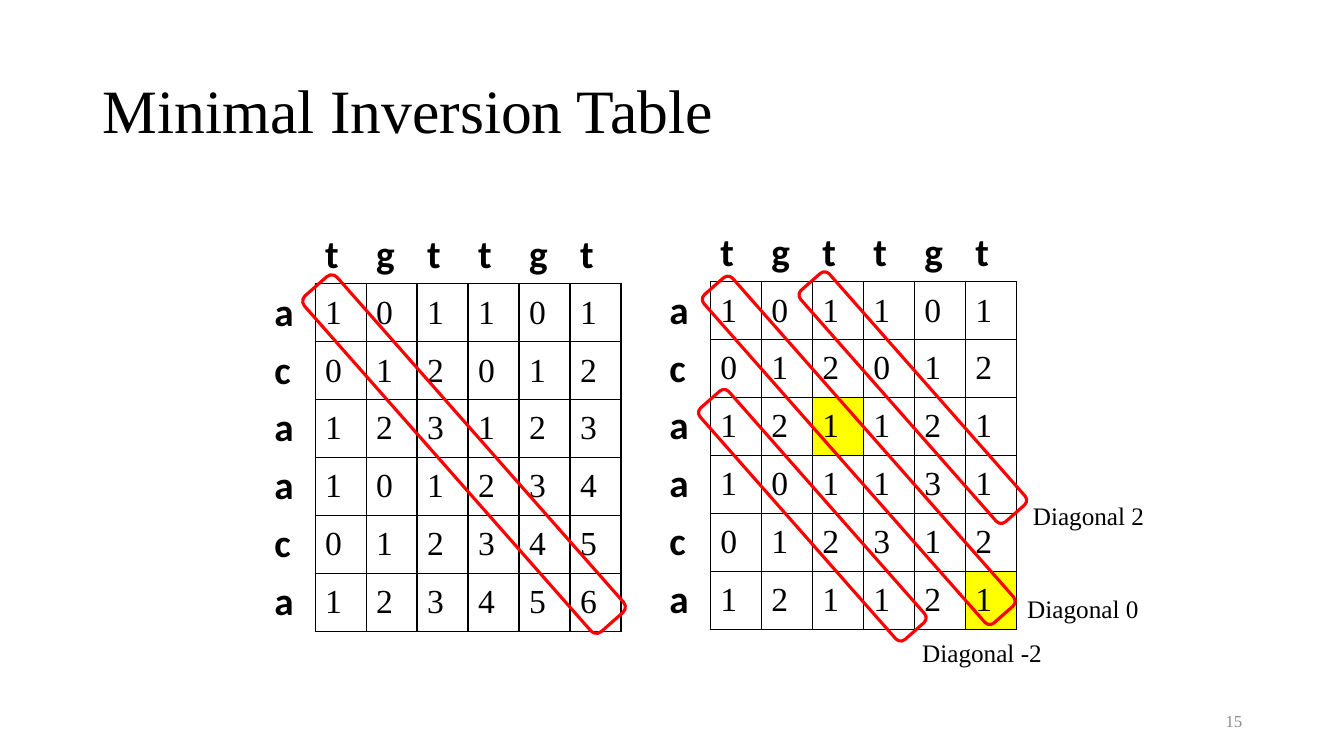
from math import hypot
from lxml.etree import SubElement as Sub
from pptx import Presentation
from pptx.dml.color import RGBColor as RGB
from pptx.enum.shapes import MSO_SHAPE as Kind
from pptx.enum.text import MSO_ANCHOR as Anchor, PP_ALIGN as Align
from pptx.oxml.ns import qn
from pptx.util import Inches as In, Pt

BLACK, WHITE = RGB(0, 0, 0), RGB(255, 255, 255)
RED, YELLOW, GREY = RGB(255, 0, 0), RGB(255, 255, 0), RGB(0x8C, 0x8C, 0x8C)
SERIF, SANS = "Times New Roman", "Calibri"

# Content
TITLE, PAGE = "Minimal Inversion Table", "15"
TOP, SIDE = "tgttgt", "acaaca"
LEFT = ["101101", "012012", "123123", "101234", "012345", "123456"]
RIGHT = ["101101", "012012", "121121", "101131", "012312", "121121"]
MARKS = {(3, 3), (6, 6)}  # row, column of the yellow cells

# Grid: cell size and table corners in inches
WIDE, HIGH = 3.54 / 7, 0.575
STEP, TILT = hypot(WIDE, HIGH), 48.6
AT_L, AT_R = (2.62, 2.24), (6.54, 2.22)

# Corner, centre column and row, length in cells, thickness in rows
BANDS = [
    (AT_L, 3.92, 3.94, 5.8, 0.75),
    (AT_R, 3.91, 3.91, 5.67, 0.66),
    (AT_R, 4.97, 3, 4, 0.66),
    (AT_R, 3, 5.03, 4, 0.66),
]
# Words, column and row in the right table
LABELS = [
    ("Diagonal -2", 4.96, 7.11),
    ("Diagonal 0", 7.02, 6.35),
    ("Diagonal 2", 7.13, 4.75),
]


def write(frame, text, size=18, font=SERIF, color=BLACK, bold=False,
          align=Align.LEFT, anchor=Anchor.TOP, lines=None):
    frame.word_wrap = True
    frame.vertical_anchor = anchor
    par = frame.paragraphs[0]
    par.alignment = align
    if lines:
        par.line_spacing = lines
    run = par.add_run()
    run.text = text
    run.font.size, run.font.name, run.font.bold = Pt(size), font, bold
    run.font.color.rgb = color


def place(slide, text, x, y, w, h, **form):
    box = slide.shapes.add_textbox(In(x), In(y), In(w), In(h))
    write(box.text_frame, text, **form)


def edge(cell, sides):
    props = cell._tc.get_or_add_tcPr()
    for side in "LRTB":
        line = Sub(props, qn("a:ln" + side), w=str(Pt(1)))
        if side in sides:
            fill = Sub(line, qn("a:solidFill"))
            Sub(fill, qn("a:srgbClr"), val=str(BLACK))
        else:
            Sub(line, qn("a:noFill"))


def table(slide, corner, rows, marks=()):
    x, y = corner
    count = len(TOP) + 1
    frame = slide.shapes.add_table(count, count, In(x), In(y),
                                   In(WIDE * count), In(HIGH * count))
    grid = frame.table
    grid.first_row = grid.horz_banding = False
    for col in grid.columns:
        col.width = In(WIDE)
    for row in grid.rows:
        row.height = In(HIGH)
    cells = [" " + TOP] + [a + b for a, b in zip(SIDE, rows)]
    for r, row in enumerate(cells):
        for c, text in enumerate(row):
            cell = grid.cell(r, c)
            head = r == 0 or c == 0
            if head:
                edge(cell, "B" if c else "R" if r else "")
                cell.fill.background()
            else:
                edge(cell, "LRTB")
                cell.fill.solid()
                cell.fill.fore_color.rgb = YELLOW if (r, c) in marks else WHITE
            if r or c:
                write(cell.text_frame, text, size=28 if head else 24,
                      font=SANS if head else SERIF, bold=head,
                      align=Align.JUSTIFY)
                cell.vertical_anchor = Anchor.MIDDLE if r else Anchor.TOP


def band(slide, corner, col, row, length, thick):
    w, h = length * STEP, thick * HIGH
    x, y = corner[0] + col * WIDE - w / 2, corner[1] + row * HIGH - h / 2
    shape = slide.shapes.add_shape(Kind.ROUNDED_RECTANGLE,
                                   In(x), In(y), In(w), In(h))
    shape.rotation = TILT
    shape.shadow.inherit = False
    shape.fill.background()
    shape.line.color.rgb = RED
    shape.line.width = Pt(2.25)


def main():
    deck = Presentation()
    deck.slide_width, deck.slide_height = In(13.33), In(7.5)
    slide = deck.slides.add_slide(deck.slide_layouts[6])

    # Title and page number
    place(slide, TITLE, 0.92, 0.4, 11.5, 1.45, size=44,
          anchor=Anchor.MIDDLE, lines=0.9)
    place(slide, PAGE, 9.42, 6.95, 3, 0.4, size=12, color=GREY,
          align=Align.RIGHT, anchor=Anchor.MIDDLE)

    # Tables
    table(slide, AT_R, RIGHT, MARKS)
    table(slide, AT_L, LEFT)

    # Diagonals and their labels
    for item in BANDS:
        band(slide, *item)
    for text, col, row in LABELS:
        place(slide, text, AT_R[0] + col * WIDE, AT_R[1] + row * HIGH,
              1.56, 0.46, lines=0.9)

    deck.save("out.pptx")


if __name__ == "__main__":
    main()
